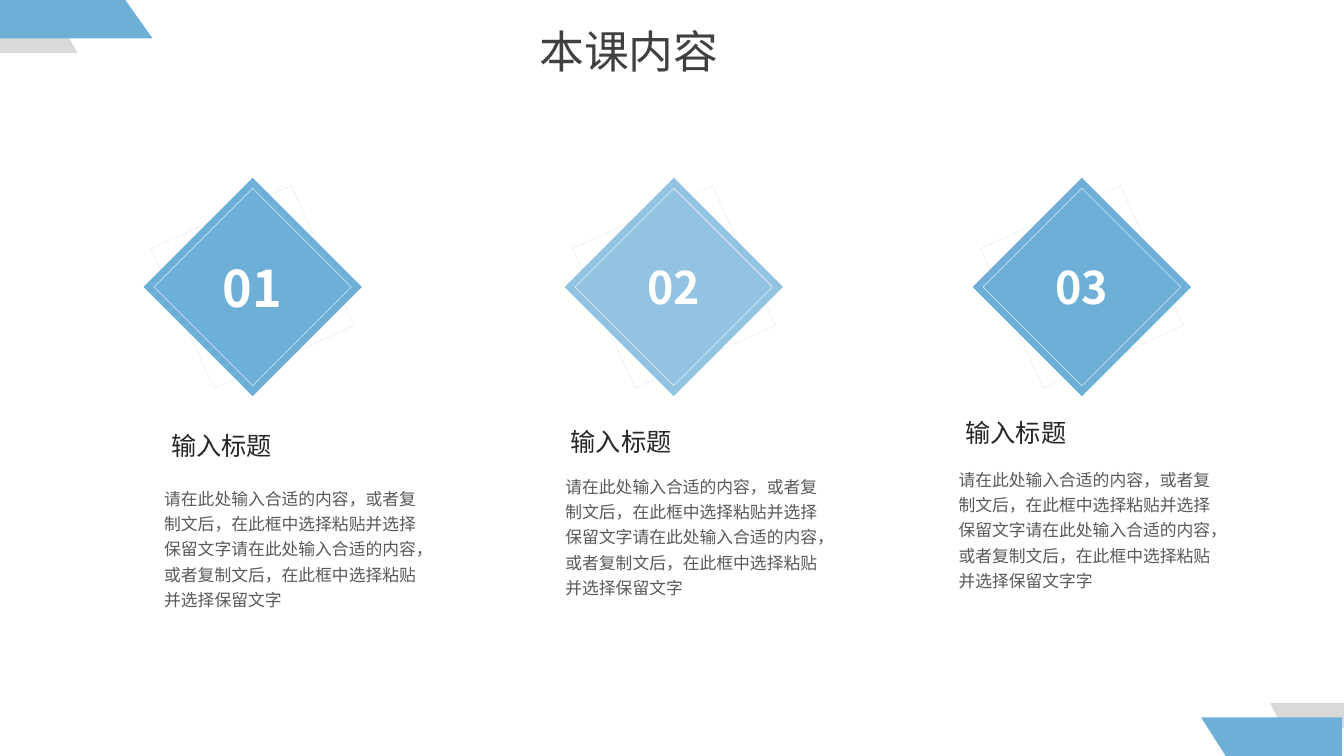
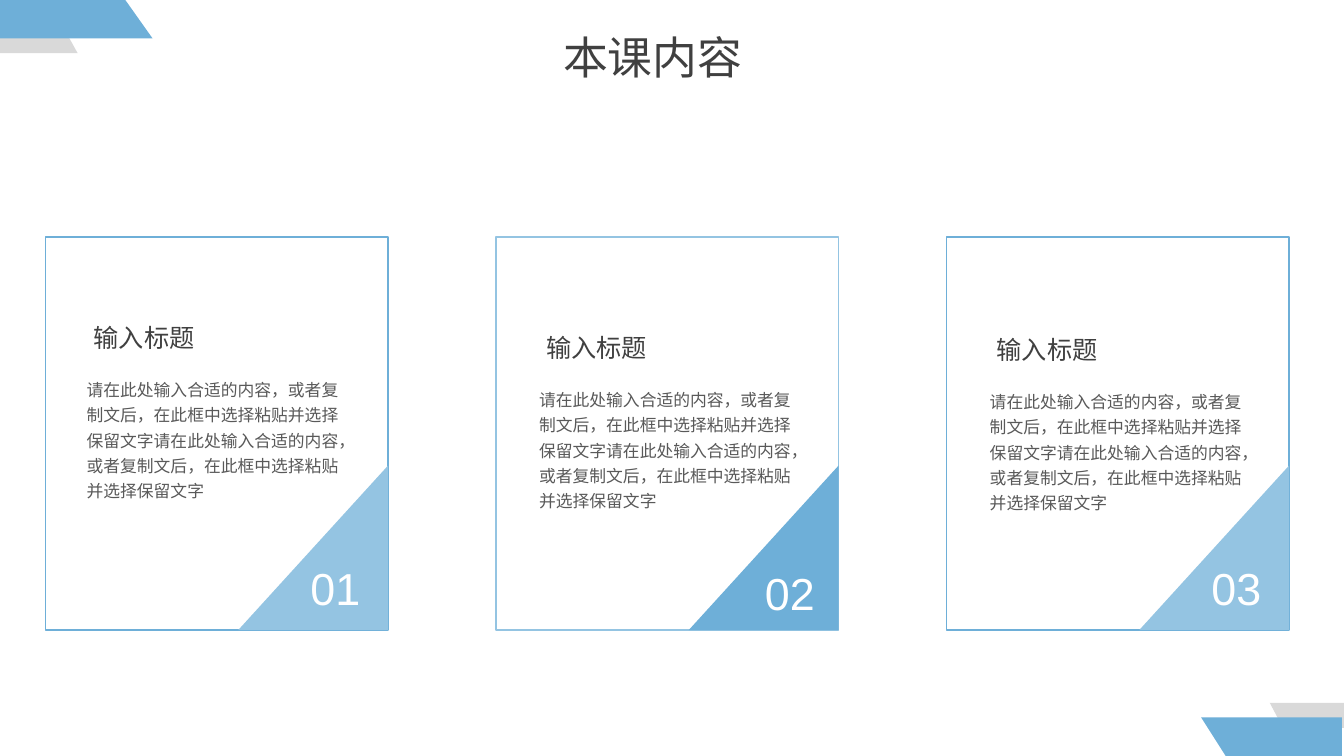
from dataclasses import dataclass

from lxml.etree import SubElement
from pptx import Presentation
from pptx.dml.color import RGBColor
from pptx.enum.shapes import MSO_SHAPE
from pptx.enum.text import MSO_ANCHOR, MSO_AUTO_SIZE, PP_ALIGN
from pptx.oxml.ns import qn
from pptx.util import Pt


@dataclass(frozen=True)
class Theme:
    blue: str = "6EAFD8"
    light_blue: str = "94C4E2"
    gray: str = "D9D9D9"
    pale: str = "DFE6ED"
    white: str = "FFFFFF"
    title_ink: str = "404040"
    dark_ink: str = "262626"
    body_ink: str = "595959"
    cjk: str = "Noto Sans CJK SC"
    latin: str = "Arial"
    title_size: int = 32
    first_number_size: int = 36
    number_size: int = 32
    heading_size: int = 18
    body_size: int = 12


THEME = Theme()
TITLE = "本课内容"
HEADING = "输入标题"
SENTENCE = "请在此处输入合适的内容，或者复制文后，在此框中选择粘贴并选择保留文字"
BODY = SENTENCE * 2

BANDS = [
    (THEME.gray, [(0, 20), (45.5, 20), (55.5, 38), (0, 38)]),
    (THEME.blue, [(0, 0), (89.5, 0), (109, 27.5), (0, 27.5)]),
    (THEME.gray, [(907, 502), (960, 502), (960, 520), (916.5, 520)]),
    (THEME.blue, [(858, 512.5), (958.5, 512.5), (958.5, 540), (875.5, 540)]),
]


class Deck:
    def __init__(self, theme):
        self.theme = theme
        self.presentation = Presentation()
        self.presentation.slide_width = Pt(960)
        self.presentation.slide_height = Pt(540)
        self.layout = self.presentation.slide_layouts[5]
        self.slide = None

    def new_slide(self, title, left, top):
        self.slide = self.presentation.slides.add_slide(self.layout)
        heading = self.slide.shapes.title
        heading.left, heading.top = Pt(left), Pt(top)
        heading.width, heading.height = Pt(203), Pt(46)
        heading.text_frame.vertical_anchor = MSO_ANCHOR.TOP
        heading.text_frame.auto_size = MSO_AUTO_SIZE.NONE
        self.fill_text(heading, title, self.theme.title_size,
                       self.theme.title_ink, align=PP_ALIGN.JUSTIFY)

    def share_bands(self, bands):
        for color, corners in bands:
            points = [(Pt(x), Pt(y)) for x, y in corners]
            builder = self.slide.shapes.build_freeform(*points[0])
            builder.add_line_segments(points[1:], close=True)
            band = builder.convert_to_shape()
            self.paint(band, fill=color)
            self.layout.element.cSld.spTree.append(band.element)

    def paint(self, shape, fill=None, line=None, weight=1, opacity=100):
        shape.shadow.inherit = False
        if fill:
            shape.fill.solid()
            shape.fill.fore_color.rgb = RGBColor.from_string(fill)
            if opacity < 100:
                color = shape.element.spPr.find(qn("a:solidFill"))[0]
                SubElement(color, qn("a:alpha"), val=str(opacity * 1000))
        else:
            shape.fill.background()
        if line:
            shape.line.color.rgb = RGBColor.from_string(line)
            shape.line.width = Pt(weight)
        else:
            shape.line.fill.background()

    def fill_text(self, shape, text, size, color, font=None, bold=False,
                  align=PP_ALIGN.LEFT, spacing=None):
        paragraph = shape.text_frame.paragraphs[0]
        paragraph.alignment = align
        if spacing:
            paragraph.line_spacing = spacing
        run = paragraph.add_run()
        run.text = text
        run.font.size = Pt(size)
        run.font.bold = bold
        run.font.color.rgb = RGBColor.from_string(color)
        run.font.name = font or self.theme.cjk
        for properties in shape.element.iter(qn("a:rPr")):
            SubElement(properties, qn("a:ea"), typeface=self.theme.cjk)

    def shape(self, kind, left, top, width, height, rotation=0, **paint):
        shape = self.slide.shapes.add_shape(
            kind, Pt(left), Pt(top), Pt(width), Pt(height))
        shape.rotation = rotation
        self.paint(shape, **paint)
        return shape

    def text(self, text, left, top, width, height, size, color, **style):
        box = self.slide.shapes.add_textbox(
            Pt(left), Pt(top), Pt(width), Pt(height))
        box.text_frame.word_wrap = True
        box.text_frame.auto_size = MSO_AUTO_SIZE.SHAPE_TO_FIT_TEXT
        self.fill_text(box, text, size, color, **style)

    def diamond(self, center_x, center_y, side, **style):
        return self.shape(MSO_SHAPE.DIAMOND, center_x - side / 2,
                          center_y - side / 2, side, side, **style)

    def numbered_diamond(self, number, center_x, center_y, size, opacity):
        theme = self.theme
        self.diamond(center_x, center_y, 155, rotation=20.8,
                     line=theme.pale, weight=0.25)
        badge = self.diamond(center_x, center_y, 156,
                             fill=theme.blue, opacity=opacity)
        frame = badge.text_frame
        frame.margin_left = frame.margin_right = 0
        frame.margin_top = frame.margin_bottom = 0
        frame.word_wrap = False
        frame.vertical_anchor = MSO_ANCHOR.MIDDLE
        self.fill_text(badge, number, size, theme.white, bold=True,
                       align=PP_ALIGN.CENTER)
        self.diamond(center_x, center_y, 141, line=theme.white, weight=0.25)

    def card(self, left, top, width, height, outline, corner):
        self.shape(MSO_SHAPE.RECTANGLE, left, top, width, height, line=outline)
        across, up = 107, 117.5
        center_x = left + width - across / 2
        center_y = top + height - up / 2
        self.shape(MSO_SHAPE.RIGHT_TRIANGLE, center_x - up / 2,
                   center_y - across / 2, up, across, rotation=270, fill=corner)

    def card_number(self, number, left, top):
        self.text(number, left, top, 63, 46, self.theme.number_size,
                  self.theme.white, font=self.theme.latin)

    def heading(self, text, left, top, color):
        self.text(text, left, top, 190, 29, self.theme.heading_size, color)

    def body(self, text, left, top):
        self.text(text, left, top, 200, 98, self.theme.body_size,
                  self.theme.body_ink, spacing=1.25)


def diamond_slide(deck):
    theme = deck.theme
    deck.new_slide(TITLE, 378, 13)
    deck.share_bands(BANDS)
    columns = [
        ("01", 180.5, theme.first_number_size, 100, (115.2, 303.8), (110.2, 342), BODY),
        ("02", 481.3, theme.number_size, 74, (400.5, 301), (396.8, 333.4), BODY),
        ("03", 772.8, theme.number_size, 100, (682.6, 294.5), (677.6, 328.3), BODY + "字"),
    ]
    for number, center_x, size, opacity, heading_at, body_at, body in columns:
        deck.numbered_diamond(number, center_x, 205, size, opacity)
        deck.heading(HEADING, *heading_at, theme.dark_ink)
        deck.body(body, *body_at)


def card_slide(deck):
    theme = deck.theme
    deck.new_slide(TITLE, 395, 17.3)
    columns = [
        ("01", theme.blue, theme.light_blue, (214.6, 396.7), (59.8, 226.8)),
        ("02", theme.light_blue, theme.blue, (539.3, 400.3), (383, 234)),
        ("03", theme.blue, theme.light_blue, (858.2, 396.7), (704.9, 235.4)),
    ]
    for index, column in enumerate(columns):
        number, outline, corner, number_at, (left, top) = column
        deck.card(32.4 + index * 321.8, 169.2, 244.8, 280.8, outline, corner)
        deck.card_number(number, *number_at)
        deck.heading(HEADING, left, top, theme.title_ink)
        deck.body(BODY, left - 5, top + 37.4)


def main():
    deck = Deck(THEME)
    diamond_slide(deck)
    card_slide(deck)
    deck.presentation.save("out.pptx")


if __name__ == "__main__":
    main()
